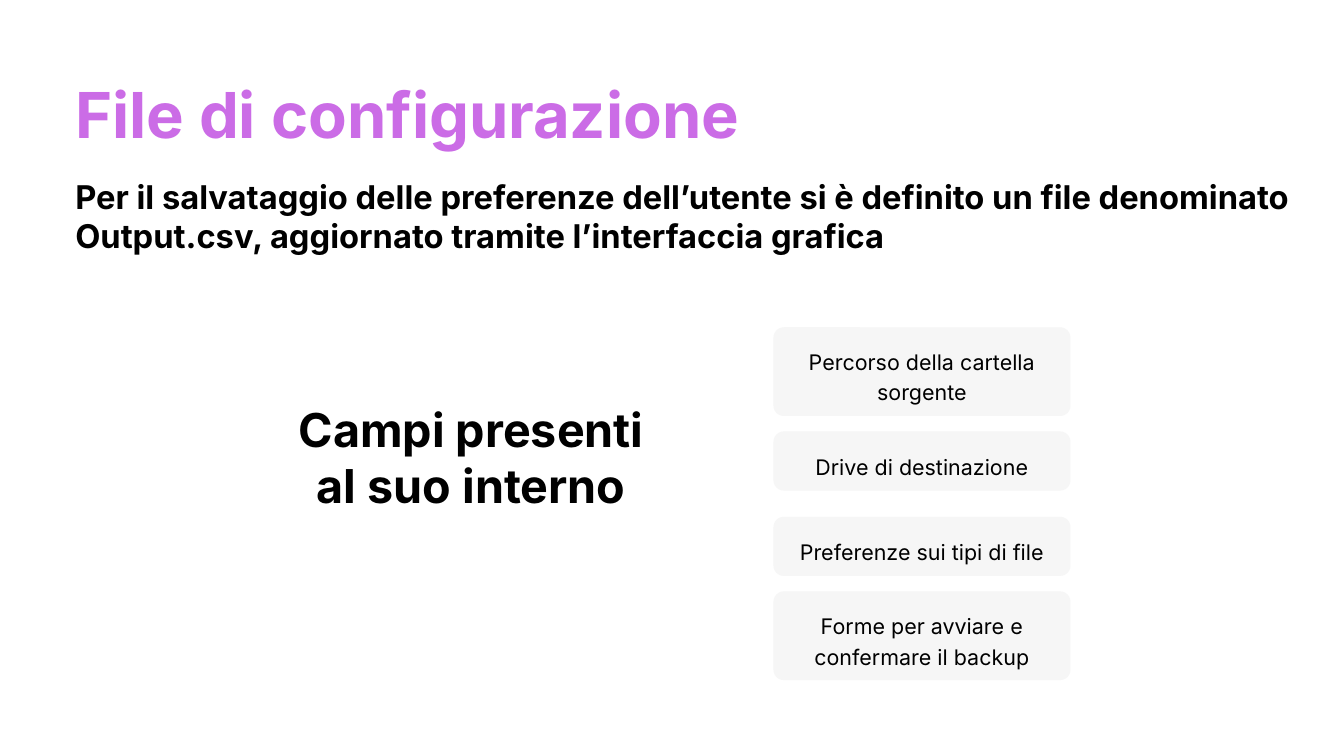
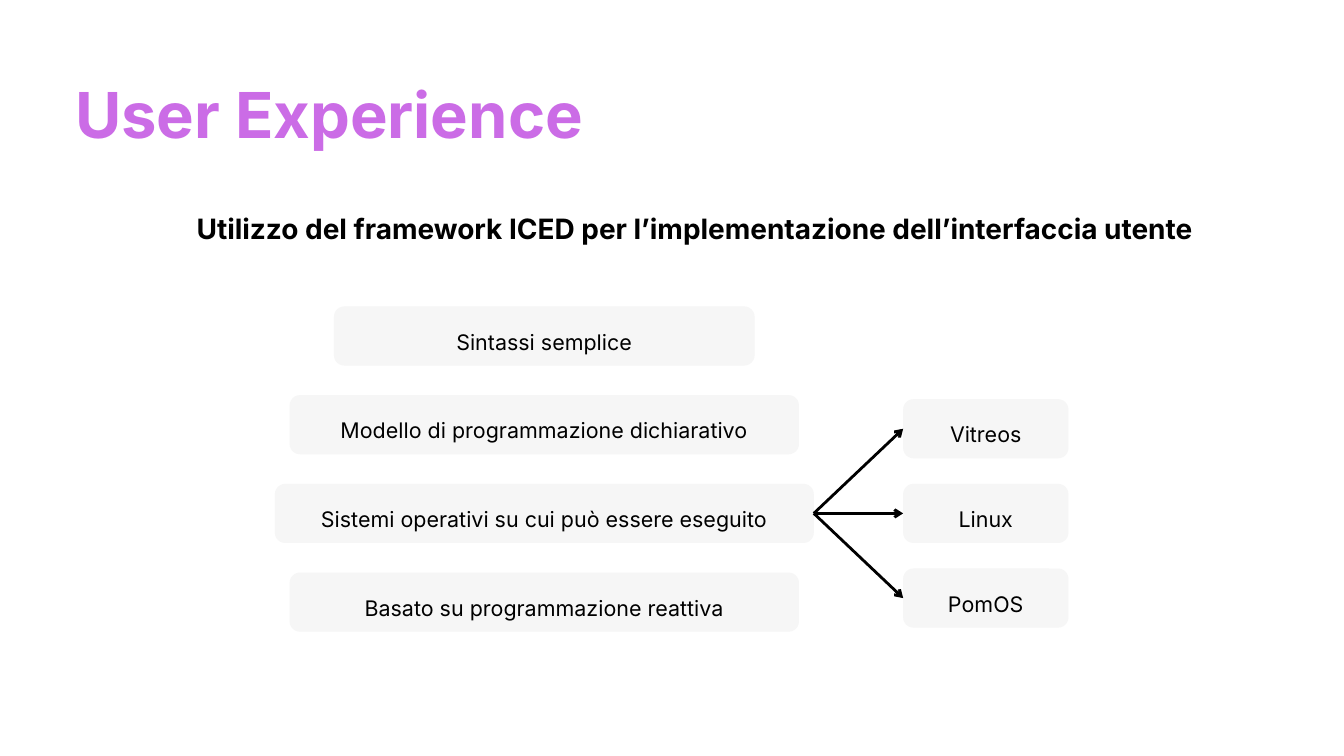
from dataclasses import dataclass

from lxml.etree import SubElement
from pptx import Presentation
from pptx.dml.color import RGBColor
from pptx.enum.shapes import MSO_CONNECTOR, MSO_SHAPE
from pptx.enum.text import MSO_ANCHOR, MSO_AUTO_SIZE, PP_ALIGN
from pptx.oxml.ns import qn
from pptx.presentation import Presentation as Deck
from pptx.shapes.autoshape import Shape
from pptx.slide import Slide
from pptx.util import Inches, Pt


@dataclass(frozen=True)
class TextStyle:
    size: float
    line_spacing: float
    color: RGBColor = RGBColor(0x00, 0x00, 0x00)
    bold: bool = True
    alignment: PP_ALIGN = PP_ALIGN.LEFT


@dataclass(frozen=True)
class Theme:
    font: str = "Inter"
    ink: RGBColor = RGBColor(0x00, 0x00, 0x00)
    card_fill: RGBColor = RGBColor(0xF1, 0xF1, 0xF1)
    card_opacity: int = 64
    arrow_width: float = 3
    title: TextStyle = TextStyle(67.8, 81.4, RGBColor(0xCB, 0x6C, 0xE6))
    intro: TextStyle = TextStyle(35, 42)
    heading: TextStyle = TextStyle(50, 60, alignment=PP_ALIGN.CENTER)
    subtitle: TextStyle = TextStyle(30, 36, alignment=PP_ALIGN.CENTER)
    card: TextStyle = TextStyle(23, 32.2, bold=False, alignment=PP_ALIGN.CENTER)


@dataclass(frozen=True)
class Box:
    left: float
    top: float
    width: float
    height: float


@dataclass(frozen=True)
class Card:
    text: str
    center: float
    top: float
    width: float
    lines: int = 1

    @property
    def box(self) -> Box:
        height = CARD_HEIGHT + (self.lines - 1) * CARD_LINE
        return Box(self.center - self.width / 2, self.top, self.width, height)


THEME = Theme()
TITLE_BOX = Box(1.12, 1.12, 11.11, 1.12)
CARD_HEIGHT = 0.88
CARD_LINE = 0.44
CARD_RADIUS = 0.155
CARD_INSET_X = 0.15
CARD_INSET_TOP = 0.22

FIELDS_CENTER = 13.72
FIELDS_WIDTH = 4.42
FEATURES_CENTER = 8.1
FEATURES_TOP = 4.56
FEATURES_STEP = 1.32
FEATURES = [
    ("Sintassi semplice", 6.26),
    ("Modello di programmazione dichiarativo", 7.58),
    ("Sistemi operativi su cui può essere eseguito", 8.02),
    ("Basato su programmazione reattiva", 7.58),
]
SYSTEMS_FEATURE = 2
SYSTEMS_CENTER = 14.67
SYSTEMS_TOP = 5.94
SYSTEMS_STEP = 1.26
SYSTEMS_WIDTH = 2.46
SYSTEMS = ["Vitreos", "Linux", "PomOS"]


def place(shape: Shape, box: Box) -> None:
    shape.left, shape.top = Inches(box.left), Inches(box.top)
    shape.width, shape.height = Inches(box.width), Inches(box.height)


def write(shape: Shape, text: str, style: TextStyle,
          inset_x: float = 0, inset_top: float = 0) -> None:
    frame = shape.text_frame
    frame.word_wrap = True
    frame.auto_size = MSO_AUTO_SIZE.NONE
    frame.vertical_anchor = MSO_ANCHOR.TOP
    frame.margin_left = frame.margin_right = Inches(inset_x)
    frame.margin_top, frame.margin_bottom = Inches(inset_top), Inches(0)
    paragraph = frame.paragraphs[0]
    paragraph.alignment = style.alignment
    paragraph.line_spacing = Pt(style.line_spacing)
    paragraph.space_before = paragraph.space_after = Pt(0)
    run = paragraph.add_run()
    run.text = text
    run.font.name = THEME.font
    run.font.size = Pt(style.size)
    run.font.bold = style.bold
    run.font.color.rgb = style.color


def add_slide(presentation: Deck, title: str, body: str,
              body_style: TextStyle, body_box: Box) -> Slide:
    slide = presentation.slides.add_slide(presentation.slide_layouts[1])
    title_shape, body_shape = slide.shapes.title, slide.placeholders[1]
    place(title_shape, TITLE_BOX)
    write(title_shape, title, THEME.title)
    place(body_shape, body_box)
    write(body_shape, body, body_style)
    properties = body_shape.text_frame.paragraphs[0]._p.get_or_add_pPr()
    properties.set("marL", "0")
    properties.set("indent", "0")
    SubElement(properties, qn("a:buNone"))
    return slide


def add_card(slide: Slide, card: Card) -> Shape:
    box = card.box
    shape = slide.shapes.add_shape(MSO_SHAPE.ROUNDED_RECTANGLE, 0, 0, 0, 0)
    place(shape, box)
    shape.adjustments[0] = CARD_RADIUS / min(box.width, box.height)
    shape.shadow.inherit = False
    shape.fill.solid()
    shape.fill.fore_color.rgb = THEME.card_fill
    color = shape._element.spPr.find(qn("a:solidFill")).find(qn("a:srgbClr"))
    SubElement(color, qn("a:alpha"), val=str(THEME.card_opacity * 1000))
    shape.line.fill.background()
    write(shape, card.text, THEME.card, CARD_INSET_X, CARD_INSET_TOP)
    return shape


def add_arrow(slide: Slide, source: Shape, target: Shape) -> None:
    arrow = slide.shapes.add_connector(MSO_CONNECTOR.STRAIGHT, 0, 0, 0, 0)
    arrow.begin_connect(source, 3)
    arrow.end_connect(target, 1)
    arrow.line.color.rgb = THEME.ink
    arrow.line.width = Pt(THEME.arrow_width)
    SubElement(arrow.line._get_or_add_ln(), qn("a:tailEnd"), type="arrow")
    SubElement(arrow._element.spPr, qn("a:effectLst"))


def build_configuration(presentation: Deck) -> None:
    slide = add_slide(
        presentation,
        "File di configurazione",
        "Per il salvataggio delle preferenze dell’utente si è definito un file "
        "denominato Output.csv, aggiornato tramite l’interfaccia grafica",
        THEME.intro,
        Box(1.12, 2.63, 18.88, 1.15),
    )
    heading = slide.shapes.add_textbox(0, 0, 0, 0)
    place(heading, Box(4.07, 5.96, 5.89, 1.67))
    write(heading, "Campi presenti al suo interno", THEME.heading)
    for text, top, lines in [
        ("Percorso della cartella sorgente", 4.87, 2),
        ("Drive di destinazione", 6.42, 1),
        ("Preferenze sui tipi di file", 7.69, 1),
        ("Forme per avviare e confermare il backup", 8.8, 2),
    ]:
        add_card(slide, Card(text, FIELDS_CENTER, top, FIELDS_WIDTH, lines))


def build_user_experience(presentation: Deck) -> None:
    slide = add_slide(
        presentation,
        "User Experience",
        "Utilizzo del framework ICED per l’implementazione dell’interfaccia utente",
        THEME.subtitle,
        Box(1.12, 3.15, 18.45, 0.5),
    )
    features = [
        add_card(slide, Card(text, FEATURES_CENTER,
                             FEATURES_TOP + row * FEATURES_STEP, width))
        for row, (text, width) in enumerate(FEATURES)
    ]
    for row, name in enumerate(SYSTEMS):
        top = SYSTEMS_TOP + row * SYSTEMS_STEP
        system = add_card(slide, Card(name, SYSTEMS_CENTER, top, SYSTEMS_WIDTH))
        add_arrow(slide, features[SYSTEMS_FEATURE], system)


def main() -> None:
    presentation = Presentation()
    presentation.slide_width = Inches(20)
    presentation.slide_height = Inches(11.25)
    build_configuration(presentation)
    build_user_experience(presentation)
    presentation.save("out.pptx")


if __name__ == "__main__":
    main()
